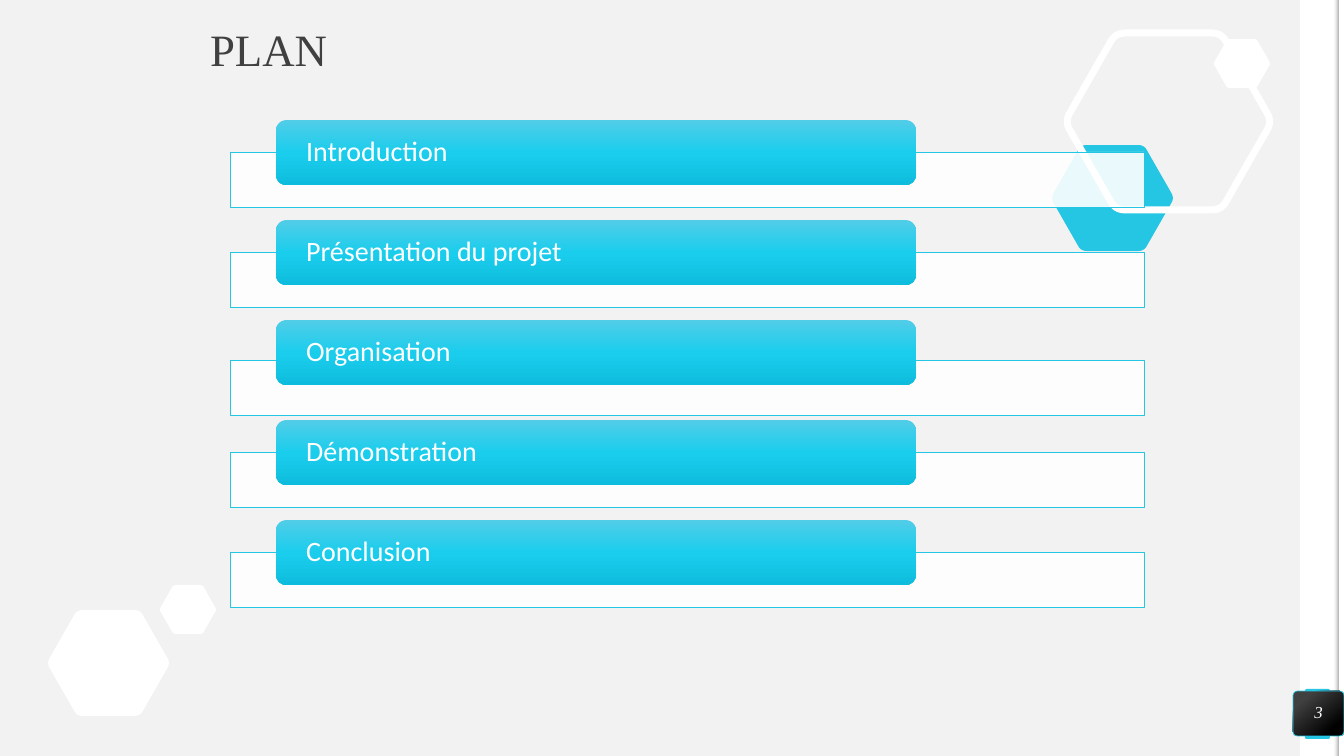
from pptx import Presentation
from pptx.dml.color import RGBColor
from pptx.enum.shapes import MSO_SHAPE as SHAPE
from pptx.enum.text import MSO_ANCHOR as ANCHOR, MSO_AUTO_SIZE as AUTO, PP_ALIGN as ALIGN
from pptx.oxml.ns import qn
from pptx.util import Pt
from lxml.etree import SubElement

TITLE = "PLAN"
PAGE = "3"
# label, distance from the top of the label to the top of its bar
SECTIONS = [
    ("Introduction", 32),
    ("Présentation du projet", 32),
    ("Organisation", 40),
    ("Démonstration", 32),
    ("Conclusion", 32),
]
# left, top, width, height, fill (None: outline only)
HEXAGONS = [
    (48, 610, 121, 106, "white"),
    (1052, 145, 121, 106, "cyan"),
    (1067, 33, 203, 177, None),
    (160, 585, 56, 49, "white"),
    (1214, 39, 56, 49, "white"),
]
COLORS = {
    "back": "F2F2F2", "white": "FFFFFF", "cyan": "25C6E3", "title": "404040",
    "grey": "A6A6A6", "dark": "404040", "black": "000000",
    "pill_top": "51CDE8", "pill_mid": "1BCDEC", "pill_end": "0EBDDD",
}
# position %, colour, opacity %
EDGE_STOPS = [(0, "back", 0), (100, "grey", 100)]
BADGE_STOPS = [(20, "dark", 100), (82, "black", 100)]
PILL_STOPS = [(0, "pill_top", 100), (50, "pill_mid", 100), (100, "pill_end", 100)]
HEX_CORNERS = [(0.24, 0), (0.76, 0), (1.01, 0.5), (0.76, 1), (0.24, 1), (-0.01, 0.5)]
HEX_CUT = 0.09
FIRST_TOP, PITCH = 120, 100


def px(n):
    return round(n * 914400 / 100.8)


def rgb(name):
    return RGBColor.from_string(COLORS[name])


def paint(sp, fill=None, line=None, weight=0.5):
    sp.shadow.inherit = False
    if fill:
        sp.fill.solid()
        sp.fill.fore_color.rgb = rgb(fill)
    else:
        sp.fill.background()
    if line:
        sp.line.color.rgb = rgb(line)
        sp.line.width = Pt(weight)
    else:
        sp.line.fill.background()


def set_alpha(color, percent):
    SubElement(color, qn("a:alpha")).set("val", str(percent * 1000))


def paint_gradient(sp, stops, angle):
    sp.fill.gradient()
    grad = sp._element.spPr.find(qn("a:gradFill"))
    grad.find(qn("a:lin")).set("ang", str(angle * 60000))
    stop_list = grad.find(qn("a:gsLst"))
    for old in list(stop_list):
        stop_list.remove(old)
    for pos, name, opacity in stops:
        gs = SubElement(stop_list, qn("a:gs"))
        gs.set("pos", str(pos * 1000))
        color = SubElement(gs, qn("a:srgbClr"))
        color.set("val", COLORS[name])
        if opacity < 100:
            set_alpha(color, opacity)


def add_box(shapes, kind, left, top, width, height, fill=None, line=None, adj=None):
    sp = shapes.add_shape(kind, px(left), px(top), px(width), px(height))
    paint(sp, fill, line)
    if adj is not None:
        sp.adjustments[0] = adj
    return sp


def write(sp, text, size, font, color, align=ALIGN.LEFT, anchor=ANCHOR.MIDDLE,
          inset=(0, 0), italic=False):
    tf = sp.text_frame
    tf.word_wrap = True
    tf.auto_size = AUTO.NONE
    tf.vertical_anchor = anchor
    tf.margin_left = tf.margin_right = px(inset[0])
    tf.margin_top = tf.margin_bottom = px(inset[1])
    p = tf.paragraphs[0]
    p.alignment = align
    p.line_spacing = 0.9
    r = p.add_run()
    r.text = text
    r.font.size = Pt(size)
    r.font.name = font
    r.font.italic = italic
    r.font.color.rgb = rgb(color)


def add_hexagon(shapes, left, top, width, height, fill):
    """Hexagon whose corners are rounded by short quadratic curves."""
    points = []
    for i, corner in enumerate(HEX_CORNERS):
        before, after = HEX_CORNERS[i - 1], HEX_CORNERS[(i + 1) % 6]
        start, end = ([c + (n - c) * HEX_CUT for c, n in zip(corner, near)]
                      for near in (before, after))
        for t in (0, 0.2, 0.4, 0.6, 0.8, 1):
            x, y = ((1 - t) ** 2 * a + 2 * t * (1 - t) * c + t ** 2 * b
                    for a, c, b in zip(start, corner, end))
            points.append((px(left + x * width), px(top + y * height)))
    builder = shapes.build_freeform(*points[0])
    builder.add_line_segments(points[1:], close=True)
    paint(builder.convert_to_shape(), fill, None if fill else "white", 5)


def add_section(shapes, top, label, bar_offset):
    bar = add_box(shapes, SHAPE.RECTANGLE, 230, top + bar_offset, 914, 55, "white", "cyan")
    set_alpha(bar._element.spPr.find(qn("a:solidFill"))[0], 90)
    pill = add_box(shapes, SHAPE.ROUNDED_RECTANGLE, 276, top, 640, 65)
    paint_gradient(pill, PILL_STOPS, 90)
    write(pill, label, 20, "Calibri", "white", inset=(27, 0))


def main():
    prs = Presentation()
    prs.slide_width, prs.slide_height = px(1344), px(756)
    slide = prs.slides.add_slide(prs.slide_layouts[5])
    slide.background.fill.solid()
    slide.background.fill.fore_color.rgb = rgb("back")
    shapes = slide.shapes

    title = shapes.title
    title.left, title.top, title.width, title.height = px(200), px(23), px(762), px(141)
    write(title, TITLE, 32, "Times New Roman", "title", anchor=ANCHOR.TOP, inset=(10, 5))

    add_box(shapes, SHAPE.RECTANGLE, 1300, 0, 39, 756, "white")
    add_box(shapes, SHAPE.ROUNDED_RECTANGLE, 1305, 689, 25, 50, "cyan", adj=0.07)
    add_box(shapes, SHAPE.RECTANGLE, 1339, 0, 5, 756, "white")
    edge = add_box(shapes, SHAPE.RECTANGLE, 1334, 0, 5, 756)
    paint_gradient(edge, EDGE_STOPS, 0)

    for hexagon in HEXAGONS:
        add_hexagon(shapes, *hexagon)

    badge = add_box(shapes, SHAPE.ROUNDED_RECTANGLE, 1293, 691, 51, 45, line="cyan", adj=0.1)
    paint_gradient(badge, BADGE_STOPS, 50)
    write(badge, PAGE, 12, "Times New Roman", "white", ALIGN.CENTER, italic=True)

    for i, (label, bar_offset) in enumerate(SECTIONS):
        add_section(shapes, FIRST_TOP + i * PITCH, label, bar_offset)

    prs.save("out.pptx")


if __name__ == "__main__":
    main()
